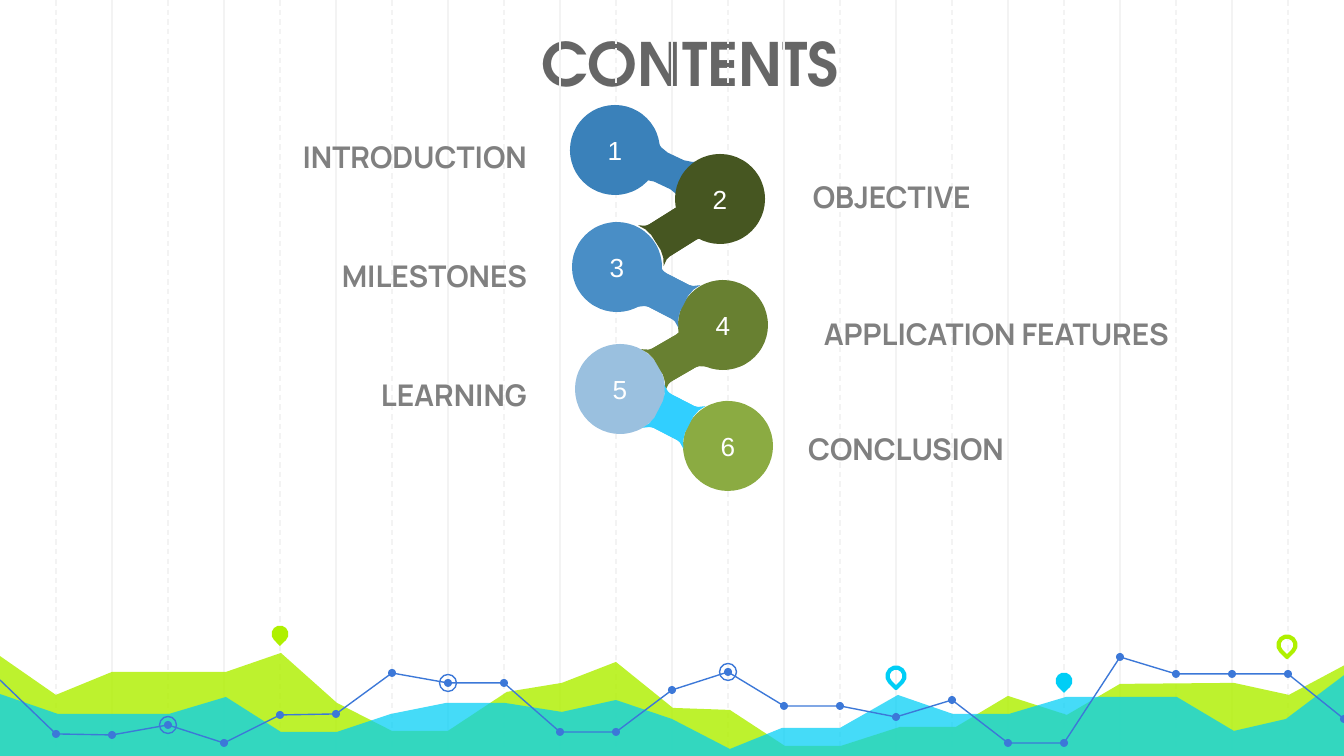
from math import cos, radians, sin

from lxml.etree import SubElement
from pptx import Presentation
from pptx.dml.color import RGBColor
from pptx.enum.dml import MSO_LINE
from pptx.enum.shapes import MSO_CONNECTOR, MSO_SHAPE
from pptx.enum.text import MSO_ANCHOR, MSO_AUTO_SIZE, PP_ALIGN
from pptx.oxml.ns import qn
from pptx.util import Pt

SCALE = 914400 / 134.4
STEP = 56
GREEN, CYAN, BLUE = "AFF000", "00CEF6", "3C78D8"

HILLS = [
    (GREEN, 82, [
        (-3, 654), (56, 695), (112, 672), (226, 672), (281, 653), (337, 703),
        (392, 731), (448, 731), (507, 692), (562, 683), (616, 662), (673, 708),
        (730, 710), (785, 746), (841, 746), (900, 727), (956, 727), (1008, 696),
        (1067, 715), (1120, 684), (1234, 683), (1289, 695), (1347, 664),
        (1346, 758), (-4, 758)]),
    (CYAN, 73, [
        (-3, 693), (58, 714), (169, 714), (226, 697), (281, 732), (337, 732),
        (391, 714), (446, 703), (505, 703), (562, 712), (616, 700), (672, 719),
        (730, 749), (782, 728), (840, 728), (898, 695), (953, 714), (1009, 714),
        (1066, 697), (1177, 697), (1234, 731), (1286, 719), (1347, 673),
        (1347, 759), (-4, 759)]),
]
TREND = [680, 734, 735, 725, 743, 715, 714, 673, 683, 683, 732, 732, 690,
         672, 706, 706, 717, 700, 743, 743, 657, 674, 674, 674, 719]
PINS = [(280, 634, GREEN, True), (896, 676, CYAN, False),
        (1064, 681, CYAN, True), (1287, 645, GREEN, False)]
RINGS = [3, 8, 13]
DISCS = [(570, 105, "3A81BA"), (675, 154, "465621"), (572, 222, "498EC6"),
         (678, 280, "688031"), (575, 344, "9AC0DF"), (683, 401, "8BAB42")]
LINKS = [(669, 171, 16, -64.7, "3A81BA"), (673, 232, 20, -32.1, "465621"),
         (669, 296, 17, 27.2, "498EC6"), (674, 358, 18, -30.1, "688031"),
         (674, 417, 17, 27.2, "31CFFF")]
LABELS = [("INTRODUCTION", 93, 132, 434, PP_ALIGN.RIGHT),
          ("OBJECTIVE", 813, 172, 434, PP_ALIGN.LEFT),
          ("MILESTONES", 93, 251, 434, PP_ALIGN.RIGHT),
          ("APPLICATION FEATURES", 793, 309, 376, PP_ALIGN.RIGHT),
          ("LEARNING", 381, 370, 434, PP_ALIGN.LEFT),
          ("CONCLUSION", 570, 424, 434, PP_ALIGN.RIGHT)]


def px(*nums):
    """Turn pixel lengths into a list of EMU."""
    return [round(n * SCALE) for n in nums]


def paint(part, color):
    """Give a fill or font one solid colour."""
    part.solid()
    part.fore_color.rgb = RGBColor.from_string(color)


def style(shape, fill=None, line=None, width=0.75, alpha=None):
    """Set the fill, outline and opacity of a shape."""
    shape.shadow.inherit = False
    if fill:
        paint(shape.fill, fill)
    else:
        shape.fill.background()
    if line:
        paint(shape.line.fill, line)
        shape.line.width = Pt(width)
    else:
        shape.line.fill.background()
    if alpha:
        tone = shape.fill._xPr.find(".//" + qn("a:srgbClr"))
        SubElement(tone, qn("a:alpha")).set("val", str(alpha * 1000))
    return shape


def write(shape, text, font="Manrope", size=16, color="808080", bold=True,
          align=PP_ALIGN.LEFT, inset=11, anchor=MSO_ANCHOR.TOP, space=0.9,
          before=7.5):
    """Put one formatted paragraph into a shape."""
    frame = shape.text_frame
    frame.word_wrap = True
    frame.auto_size = MSO_AUTO_SIZE.NONE
    frame.vertical_anchor = anchor
    frame.margin_left = frame.margin_right = 0
    frame.margin_top, frame.margin_bottom = px(inset, inset)
    para = frame.paragraphs[0]
    para.alignment = align
    para.line_spacing = space
    para.space_before = Pt(before)
    run = para.add_run()
    run.text = text
    run.font.name, run.font.size, run.font.bold = font, Pt(size), bold
    paint(run.font.fill, color)


def outline(shapes, points, close=True, **look):
    """Draw straight pieces through the given points."""
    spots = [px(*spot) for spot in points]
    pen = shapes.build_freeform(*spots[0], scale=1)
    pen.add_line_segments(spots[1:], close=close)
    return style(pen.convert_to_shape(), **look)


def dot(shapes, x, y, size, kind=MSO_SHAPE.OVAL, **look):
    """Draw a small shape around a centre."""
    half = size / 2
    box = px(x - half, y - half, size, size)
    return style(shapes.add_shape(kind, *box), **look)


def grid(shapes):
    """Draw the solid and then the dashed upright rules."""
    for first, dash in ((2, None), (1, MSO_LINE.DASH)):
        for col in range(first, 24, 2):
            x = col * STEP
            rule = shapes.add_connector(MSO_CONNECTOR.STRAIGHT,
                                        *px(x, 0, x, 759))
            SubElement(rule._element.spPr, qn("a:effectLst"))
            paint(rule.line.fill, "F3F3F3")
            rule.line.width = Pt(0.75)
            rule.line.dash_style = dash


def chart(shapes):
    """Draw the hills, pins and trend line at the foot."""
    for color, alpha, points in HILLS:
        outline(shapes, points, fill=color, alpha=alpha)
    trend = [(col * STEP, y) for col, y in enumerate(TREND)]
    for start, end in ((0, 12), (11, 21), (20, 25)):
        outline(shapes, trend[start:end], close=False, line=BLUE)
    for x, y in trend[1:]:
        dot(shapes, x, y, 8, fill=BLUE)
    for col in RINGS:
        dot(shapes, *trend[col], 17, line=BLUE)
    for x, y, color, full in PINS:
        look = {"fill": color} if full else {"line": color, "width": 2.25}
        dot(shapes, x, y, 17, MSO_SHAPE.TEAR, **look).rotation = 135


def link(shapes, x, y, half, angle, color):
    """Draw two opposed necks with flared ends about a centre."""
    side = [(half - 2, 19), (4 - half, 19), (-half, 20), (-half - 6, 24),
            (-half - 2, 17), (-half, 9)]
    neck = side + [(a, -b) for a, b in reversed(side)]
    for turn in (radians(angle), radians(angle + 180)):
        c, s = cos(turn), sin(turn)
        outline(shapes, [(x + a * c - b * s, y + a * s + b * c)
                         for a, b in neck], fill=color)


def disc(shapes, num, x, y, color):
    """Draw a numbered disc."""
    shape = shapes.add_shape(MSO_SHAPE.ROUNDED_RECTANGLE, *px(x, y, 90, 90))
    shape.adjustments[0] = 0.5
    style(shape, fill=color)
    write(shape, str(num), font="Arial", size=14, color="FFFFFF", bold=False,
          align=PP_ALIGN.CENTER, anchor=MSO_ANCHOR.MIDDLE, space=1, before=0)


def main():
    """Build the contents slide."""
    deck = Presentation()
    deck.slide_width, deck.slide_height = px(1344, 756)
    slide = deck.slides.add_slide(deck.slide_layouts[5])
    shapes = slide.shapes
    title = shapes.title
    title.left, title.top, title.width, title.height = px(489, 24, 402, 44)
    write(title, "CONTENTS", font="TeX Gyre Adventor", size=32,
          color="666666", align=PP_ALIGN.CENTER)
    grid(shapes)
    chart(shapes)
    link(shapes, *LINKS[0])
    for num, spot in enumerate(DISCS, 1):
        disc(shapes, num, *spot)
    for text, x, y, wide, align in LABELS:
        write(shapes.add_textbox(*px(x, y, wide, 44)), text, align=align)
    for joint in LINKS[1:]:
        link(shapes, *joint)
    deck.save("out.pptx")


if __name__ == "__main__":
    main()
